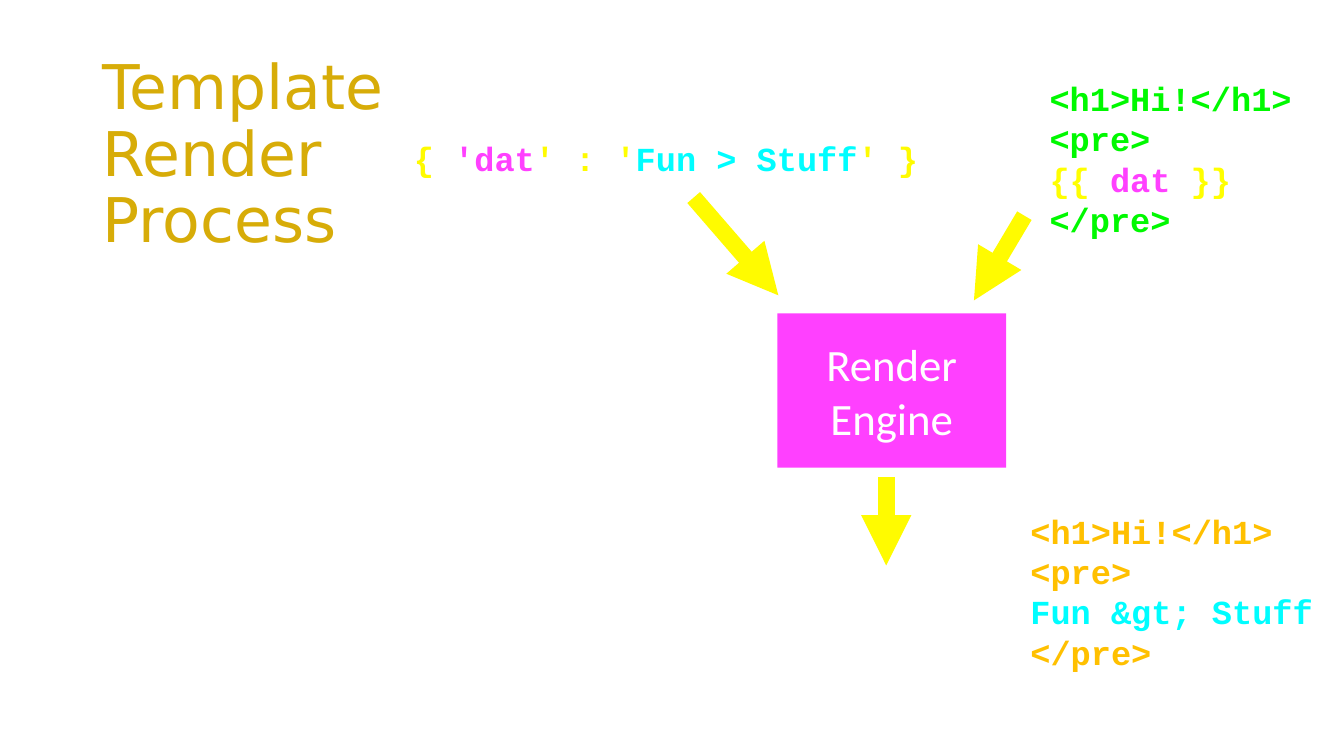
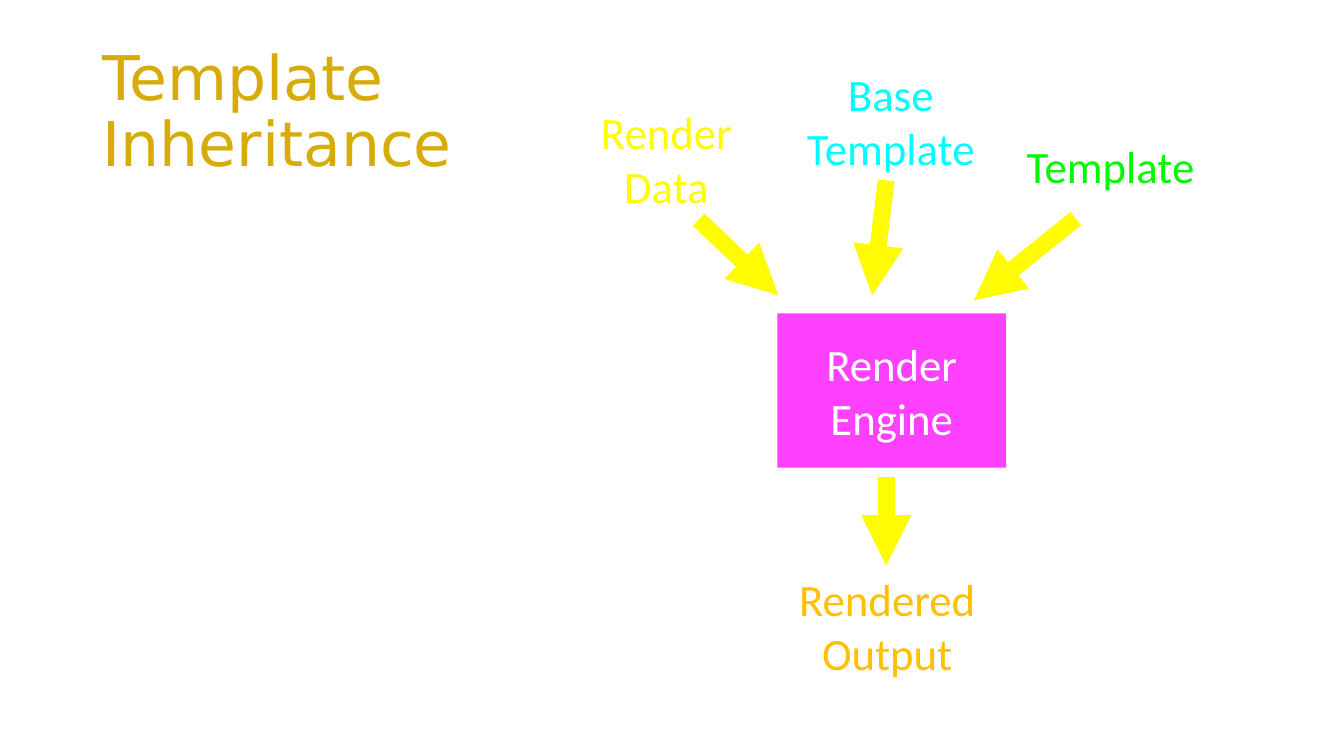
from pptx import Presentation
from pptx.dml.color import RGBColor
from pptx.enum.shapes import MSO_CONNECTOR, MSO_SHAPE
from pptx.enum.text import MSO_ANCHOR, MSO_AUTO_SIZE, PP_ALIGN
from pptx.oxml.ns import qn
from pptx.util import Inches, Pt
from lxml import etree

LEFT, CENTER = PP_ALIGN.LEFT, PP_ALIGN.CENTER
MIDDLE = MSO_ANCHOR.MIDDLE
FIT = MSO_AUTO_SIZE.SHAPE_TO_FIT_TEXT
RECTANGLE, STRAIGHT = MSO_SHAPE.RECTANGLE, MSO_CONNECTOR.STRAIGHT

WHITE = RGBColor(0xFF, 0xFF, 0xFF)
GOLD = RGBColor(0xD7, 0xAC, 0x08)
MAGENTA = RGBColor(0xFF, 0x40, 0xFF)
GREEN = RGBColor(0x00, 0xF9, 0x00)
CYAN = RGBColor(0x00, 0xFD, 0xFF)
LEMON = RGBColor(0xFF, 0xFB, 0x00)
YELLOW = RGBColor(0xFF, 0xFF, 0x00)
ORANGE = RGBColor(0xFF, 0xC0, 0x00)

# Shared text styles
TITLE = {"name": "DejaVu Sans", "size": Pt(44), "bold": False}
LABEL = {"name": "Calibri", "size": Pt(32), "bold": False}
CODE = {"name": "Courier New", "size": Pt(24), "bold": True}

# Parts that both slides show
ENGINE_BOX = (7.71, 3.11, 2.27, 1.53)
ENGINE_LINES = [[("Render", WHITE)], [("Engine", WHITE)]]
OUTPUT_ARROW = ((8.79, 4.73), (8.79, 5.61))
ENTRY_LEFT, ENTRY_TOP, ENTRY_RIGHT = (7.72, 2.93), (8.65, 2.93), (9.66, 2.98)

# Each text: box, style, alignment, lines of (words, colour) runs
SLIDES = [
    {
        "title": ("Template Render Process", (0.92, 0.4, 3.08, 2.3)),
        "texts": [
            ((10.35, 0.71, 2.53, 1.73), CODE, LEFT, [
                [("<h1>Hi!</h1>", GREEN)],
                [("<pre>", GREEN)],
                [("{{ ", YELLOW), ("dat ", MAGENTA), ("}}", YELLOW)],
                [("</pre>", GREEN)]]),
            ((4.03, 1.31, 5.15, 0.52), CODE, CENTER, [
                [("{ ", LEMON), ("'dat", MAGENTA), ("' : ", LEMON),
                 ("'", YELLOW), ("Fun > Stuff", CYAN), ("' }", LEMON)]]),
            ((10.16, 5, 2.93, 1.73), CODE, LEFT, [
                [("<h1>Hi!</h1>", ORANGE)],
                [("<pre>", ORANGE)],
                [("Fun &gt; Stuff", CYAN)],
                [("</pre>", ORANGE)]]),
        ],
        "arrows": [((6.88, 1.96), ENTRY_LEFT), ((10.16, 2.14), ENTRY_RIGHT)],
    },
    {
        "title": ("Template Inheritance", (0.92, 0.4, 3.9, 1.45)),
        "texts": [
            ((10.12, 1.32, 1.79, 0.65), LABEL, CENTER, [[("Template", GREEN)]]),
            ((5.9, 0.98, 1.42, 1.19), LABEL, CENTER,
             [[("Render", LEMON)], [("Data", LEMON)]]),
            ((7.86, 5.61, 1.88, 1.19), LABEL, CENTER,
             [[("Rendered", ORANGE)], [("Output", ORANGE)]]),
            ((7.94, 0.6, 1.79, 1.19), LABEL, CENTER,
             [[("Base", CYAN)], [("Template", CYAN)]]),
        ],
        "arrows": [((6.93, 2.18), ENTRY_LEFT), ((10.67, 2.17), ENTRY_RIGHT),
                   ((8.79, 1.79), ENTRY_TOP)],
    },
]


def set_all(target, values):
    for key, value in values.items():
        setattr(target, key, value)


def write(frame, lines, style, align, inset=0.06):
    margin = Inches(inset)
    set_all(frame, {"vertical_anchor": MIDDLE,
                    "margin_left": margin, "margin_right": margin,
                    "margin_top": margin, "margin_bottom": margin})
    for index, line in enumerate(lines):
        paragraph = frame.add_paragraph() if index else frame.paragraphs[0]
        paragraph.alignment = align
        for words, colour in line:
            run = paragraph.add_run()
            run.text = words
            set_all(run.font, style)
            run.font.color.rgb = colour


def add_title(slide, words, box):
    frame = slide.shapes.add_textbox(*map(Inches, box)).text_frame
    frame.word_wrap = True
    write(frame, [[(words, GOLD)]], TITLE, LEFT, inset=0.1)
    frame.paragraphs[0].line_spacing = 0.9


def add_text(slide, box, style, align, lines):
    frame = slide.shapes.add_textbox(*map(Inches, box)).text_frame
    set_all(frame, {"word_wrap": False, "auto_size": FIT})
    write(frame, lines, style, align)


def add_engine(slide):
    engine = slide.shapes.add_shape(RECTANGLE, *map(Inches, ENGINE_BOX))
    engine.shadow.inherit = False
    engine.fill.solid()
    engine.fill.fore_color.rgb = MAGENTA
    engine.line.fill.background()
    write(engine.text_frame, ENGINE_LINES, LABEL, CENTER)


def add_arrow(slide, start, tip):
    arrow = slide.shapes.add_connector(STRAIGHT, *map(Inches, start + tip))
    arrow.line.color.rgb = LEMON
    arrow.line.width = Pt(12)
    properties = arrow._element.spPr
    etree.SubElement(properties.find(qn("a:ln")), qn("a:tailEnd"), type="triangle")
    etree.SubElement(properties, qn("a:effectLst"))


def main():
    deck = Presentation()
    set_all(deck, {"slide_width": Inches(13.33), "slide_height": Inches(7.5)})
    for content in SLIDES:
        slide = deck.slides.add_slide(deck.slide_layouts[6])
        add_title(slide, *content["title"])
        add_engine(slide)
        for text in content["texts"]:
            add_text(slide, *text)
        for start, tip in content["arrows"] + [OUTPUT_ARROW]:
            add_arrow(slide, start, tip)
    deck.save("out.pptx")


if __name__ == "__main__":
    main()
